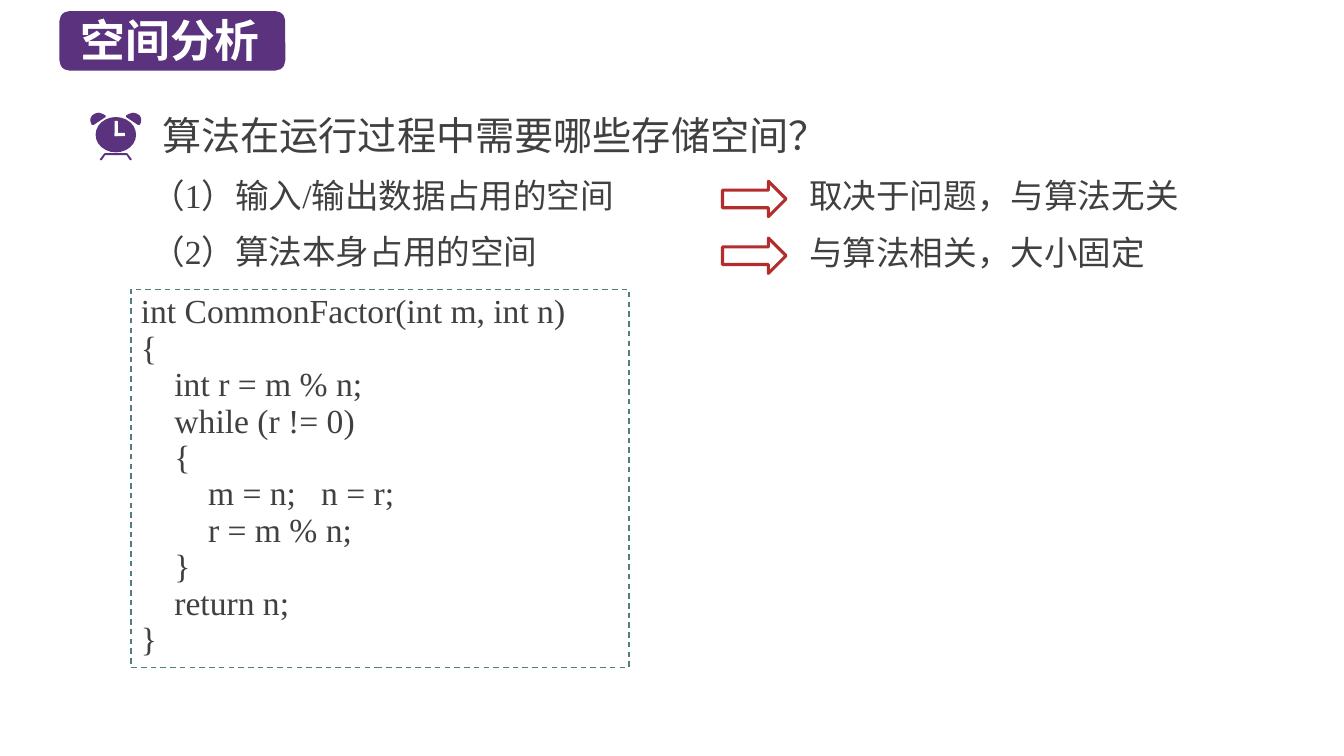
from dataclasses import dataclass

from lxml import etree
from pptx import Presentation
from pptx import util as u
from pptx.dml.color import RGBColor
from pptx.enum import dml, shapes, text
from pptx.oxml.ns import qn

PURPLE, RED, TEAL, GREY, WHITE = "5A327D", "B42D2D", "507D7D", "404040", "FFFFFF"
HAN, LATIN = "Noto Sans CJK SC", "Times New Roman"
SHAPE = shapes.MSO_SHAPE


@dataclass
class Area:
    left: float
    top: float
    width: float
    height: float

    def lengths(self) -> list:
        return [u.Cm(value) for value in (self.left, self.top, self.width, self.height)]


@dataclass
class Label:
    words: str
    area: Area
    size: int = 24
    font: str = HAN
    color: str = GREY
    bold: bool = False
    wrap: bool = True


@dataclass
class Answer:
    space: str
    verdict: str


@dataclass
class CodeLine:
    depth: int
    words: str


ANSWERS = [
    Answer("（1）输入/输出数据占用的空间", "取决于问题，与算法无关"),
    Answer("（2）算法本身占用的空间", "与算法相关，大小固定"),
]
ROW_STEP = 1.43
CODE = [
    CodeLine(0, "int CommonFactor(int m, int n)"),
    CodeLine(0, "{"),
    CodeLine(1, "int r = m % n;"),
    CodeLine(1, "while (r != 0)"),
    CodeLine(1, "{"),
    CodeLine(2, "m = n;   n = r;"),
    CodeLine(2, "r = m % n;"),
    CodeLine(1, "}"),
    CodeLine(1, "return n;"),
    CodeLine(0, "}"),
]
CLOCK_AXIS = 2.92
# Half outlines: distance left of the clock's axis, then height on the slide
BELL = [(0.26, 2.95), (0.26, 2.91), (0.33, 2.87), (0.43, 2.84), (0.52, 2.86), (0.6, 2.91),
        (0.64, 2.99), (0.64, 3.06), (0.61, 3.14), (0.59, 3.15), (0.56, 3.15)]
FOOT = [(0, 3.86), (0.28, 3.86), (0.31, 3.89), (0.4, 4.01), (0.4, 4.03), (0.38, 4.04),
        (0.35, 4.03), (0.27, 3.91), (0, 3.91)]


def rgb(color: str) -> RGBColor:
    return RGBColor.from_string(color)


def paint(shape, fill: str = "", line: str = "", width: float = 1) -> None:
    shape.shadow.inherit = False
    if fill:
        shape.fill.solid()
        shape.fill.fore_color.rgb = rgb(fill)
    else:
        shape.fill.background()
    if line:
        shape.line.color.rgb = rgb(line)
        shape.line.width = u.Pt(width)
    else:
        shape.line.fill.background()


def add_preset(page, kind, area: Area, **style):
    shape = page.shapes.add_shape(kind, *area.lengths())
    paint(shape, **style)
    return shape


def add_span(para, words: str, size: int, font: str, color: str, bold: bool = False) -> None:
    span = para.add_run()
    span.text = words
    for name, value in {"size": u.Pt(size), "name": font, "bold": bold}.items():
        setattr(span.font, name, value)
    span.font.color.rgb = rgb(color)
    latin = span.font._element.find(qn("a:latin"))
    east_asian = etree.Element(qn("a:ea"), typeface=HAN)
    latin.addnext(east_asian)


def add_label(page, label: Label) -> None:
    frame = page.shapes.add_textbox(*label.area.lengths()).text_frame
    frame.word_wrap = label.wrap
    frame.vertical_anchor = text.MSO_ANCHOR.MIDDLE
    add_span(frame.paragraphs[0], label.words, label.size, label.font, label.color, label.bold)


def add_mirrored_half(page, half: list, side: int) -> None:
    """Draw a half outline left (-1) or right (1) of the clock's axis."""
    points = [(u.Cm(CLOCK_AXIS + side * away), u.Cm(y)) for away, y in half]
    builder = page.shapes.build_freeform(*points[0])
    builder.add_line_segments(points[1:], close=True)
    paint(builder.convert_to_shape(), fill=PURPLE)


def add_clock(page) -> None:
    for half in (FOOT, BELL):
        for side in (-1, 1):
            add_mirrored_half(page, half, side)
    add_preset(page, SHAPE.OVAL, Area(2.41, 2.95, 1.02, 0.89), fill=PURPLE)
    for hand in (Area(2.89, 3.05, 0.08, 0.38), Area(2.89, 3.35, 0.26, 0.08)):
        add_preset(page, SHAPE.ROUNDED_RECTANGLE, hand, fill=WHITE)


def add_answer(page, answer: Answer, shift: float) -> None:
    add_label(page, Label(answer.space, Area(3.56, 4.27 + shift, 14, 1.27), font=LATIN))
    add_label(page, Label(answer.verdict, Area(20.14, 4.29 + shift, 9.9, 1.27), wrap=False))
    add_preset(page, SHAPE.RIGHT_ARROW, Area(18.21, 4.57 + shift, 1.6, 0.89), line=RED, width=2.25)


def add_code(page) -> None:
    box = add_preset(page, SHAPE.RECTANGLE, Area(3.3, 7.29, 12.55, 9.53), line=TEAL)
    box.line.dash_style = dml.MSO_LINE.DASH
    frame = box.text_frame
    frame.word_wrap = True
    frame.vertical_anchor = text.MSO_ANCHOR.TOP
    for index, line in enumerate(CODE):
        para = frame.add_paragraph() if index else frame.paragraphs[0]
        para.alignment = text.PP_ALIGN.LEFT
        para.line_spacing = u.Pt(26)
        para._p.get_or_add_pPr().set("marL", str(u.Pt(24 * line.depth)))
        add_span(para, line.words, 24, LATIN, GREY)


def main() -> None:
    deck = Presentation()
    deck.slide_width, deck.slide_height = u.Cm(33.87), u.Cm(19.05)
    page = deck.slides.add_slide(deck.slide_layouts[6])
    add_preset(page, SHAPE.ROUNDED_RECTANGLE, Area(1.5, 0.28, 5.69, 1.5), fill=PURPLE)
    add_label(page, Label("空间分析", Area(1.78, 0.18, 5.44, 1.63), 32, color=WHITE, bold=True))
    add_label(page, Label("算法在运行过程中需要哪些存储空间？", Area(3.84, 2.67, 18.44, 1.45), 28))
    add_clock(page)
    for row, answer in enumerate(ANSWERS):
        add_answer(page, answer, row * ROW_STEP)
    add_code(page)
    deck.save("out.pptx")


if __name__ == "__main__":
    main()
